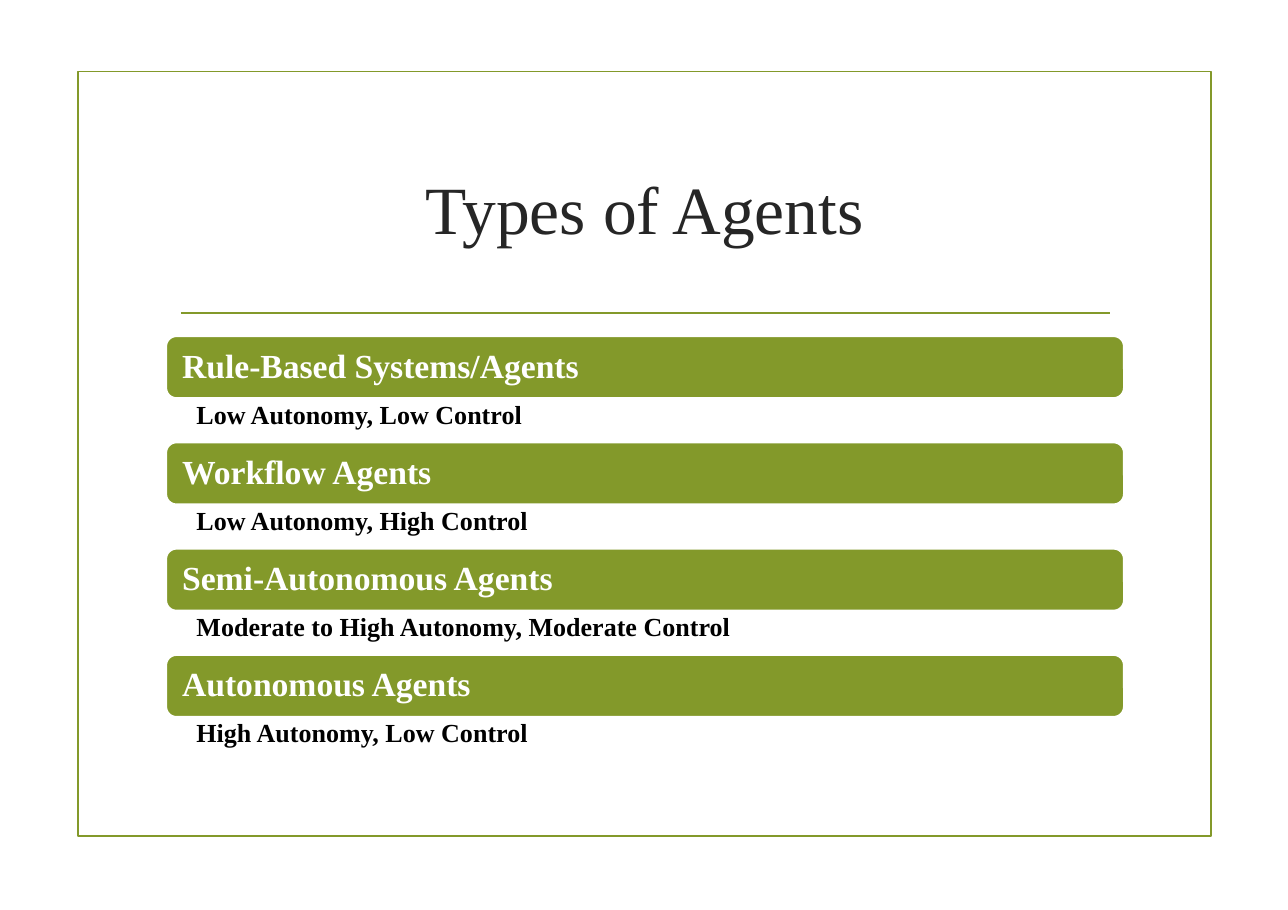
from pptx import Presentation
from pptx.dml.color import RGBColor
from pptx.enum.shapes import MSO_CONNECTOR, MSO_SHAPE
from pptx.enum.text import MSO_ANCHOR, MSO_AUTO_SIZE, PP_ALIGN
from pptx.oxml.ns import qn
from pptx.util import Cm, Pt
from lxml import etree

RECT, ROUND = MSO_SHAPE.RECTANGLE, MSO_SHAPE.ROUNDED_RECTANGLE
LINE = MSO_CONNECTOR.STRAIGHT
TOP, MID = MSO_ANCHOR.TOP, MSO_ANCHOR.MIDDLE
LEFT, MIDDLE = PP_ALIGN.LEFT, PP_ALIGN.CENTER
FIXED = MSO_AUTO_SIZE.NONE

TITLE = "Types of Agents"
AGENTS = [
    ("Rule-Based Systems/Agents", "Low Autonomy, Low Control"),
    ("Workflow Agents", "Low Autonomy, High Control"),
    ("Semi-Autonomous Agents", "Moderate to High Autonomy, Moderate Control"),
    ("Autonomous Agents", "High Autonomy, Low Control"),
]
COLORS = {"green": "83992A", "white": "FFFFFF", "dark": "262626", "black": "000000"}
FONT = "Times New Roman"
EDGE = Pt(1.25)
SIDE, WIDE = Cm(3.83), Cm(22.08)
START, PITCH = Cm(7.75), Cm(2.45)
BAR, NOTE = Cm(1.43), Cm(1.02)


def color(name):
    return RGBColor.from_string(COLORS[name])


def write(shape, text, size, ink, bold=False, align=LEFT, anchor=MID,
          inset=(0.25, 0.25), pad=0.13, space=0.9):
    frame = shape.text_frame
    frame.word_wrap = True
    frame.auto_size = FIXED
    frame.vertical_anchor = anchor
    frame.margin_left, frame.margin_right = Cm(inset[0]), Cm(inset[1])
    frame.margin_top = frame.margin_bottom = Cm(pad)
    para = frame.paragraphs[0]
    para.alignment = align
    para.line_spacing = space
    run = para.add_run()
    run.text = text
    font = run.font
    font.name, font.size, font.bold = FONT, Pt(size), bold
    font.color.rgb = color(ink)


def box(shapes, kind, place, line, fill=None):
    shape = shapes.add_shape(kind, *place)
    shape.shadow.inherit = False
    if fill:
        shape.fill.solid()
        shape.fill.fore_color.rgb = color(fill)
    else:
        shape.fill.background()
    shape.line.color.rgb = color(line)
    shape.line.width = EDGE
    return shape


def main():
    deck = Presentation()
    deck.slide_width, deck.slide_height = Cm(29.69), Cm(20.98)
    slide = deck.slides.add_slide(deck.slide_layouts[5])
    shapes = slide.shapes

    title = shapes.title
    title.left, title.top = SIDE, Cm(2.79)
    title.width, title.height = WIDE, Cm(3.99)
    write(title, TITLE, 44.1, "dark", align=MIDDLE, space=1.0)

    box(shapes, RECT, (Cm(1.8), Cm(1.65), Cm(26.11), Cm(17.63)), "green")
    rule = shapes.add_connector(LINE, Cm(4.17), Cm(7.21), Cm(25.58), Cm(7.21))
    rule.line.color.rgb = color("green")
    rule.line.width = EDGE
    etree.SubElement(rule.line._get_or_add_ln().getparent(), qn("a:effectLst"))

    for row, (name, traits) in enumerate(AGENTS):
        top = START + row * PITCH
        bar = box(shapes, ROUND, (SIDE, top, WIDE, BAR), "white", "green")
        write(bar, name, 22, "white", bold=True, inset=(0.3, 0.3))
        note = shapes.add_textbox(SIDE, top + BAR, WIDE, NOTE)
        write(note, traits, 17, "black", bold=True, anchor=TOP,
              inset=(0.7, 0.43), pad=0.08)

    deck.save("out.pptx")


if __name__ == "__main__":
    main()
